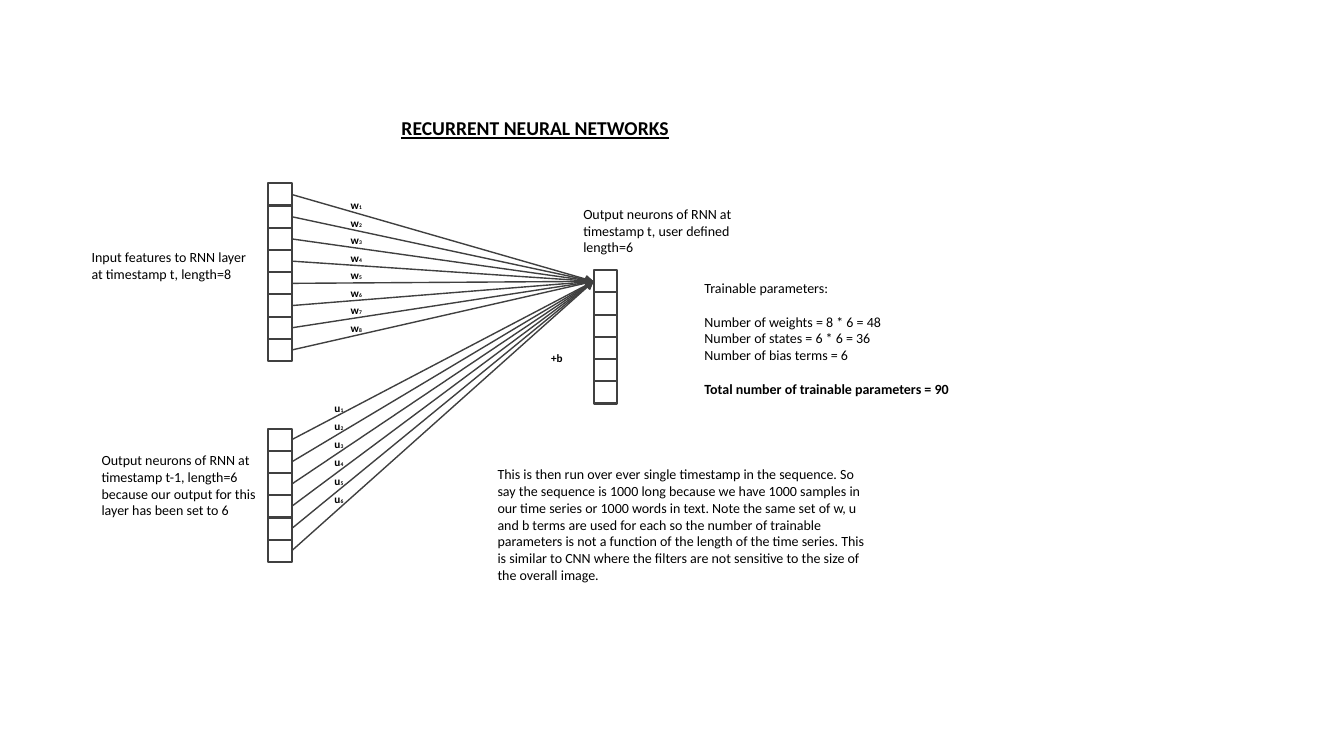
from dataclasses import dataclass

from pptx import Presentation
from pptx import util as u
from pptx.dml import color
from pptx.enum import shapes, text
from pptx.oxml import ns, xmlchemy


@dataclass(frozen=True)
class Theme:
    font: str = "Calibri"
    ink: color.RGBColor = color.RGBColor(0x00, 0x00, 0x00)
    outline: color.RGBColor = color.RGBColor(0x40, 0x40, 0x40)
    title_size: int = 14
    body_size: int = 10
    label_size: int = 8
    index_size: int = 4
    cell_line: float = 1.5
    arrow_line: float = 1


THEME = Theme()
CELL_WIDTH = 0.59
CELL_HEIGHT = 0.56
FEATURE_COUNT = 8
OUTPUT_COUNT = 6

CAPTIONS = [
    ("Input features to RNN layer at timestamp t, length=8",
     (2.06, 6.15, 4.72, 1.12)),
    ("Output neurons of RNN at timestamp t, user defined length=6",
     (14.45, 5.05, 4.72, 1.55)),
    ("Output neurons of RNN at timestamp t-1, length=6 because our output "
     "for this layer has been set to 6",
     (2.31, 11.25, 4.72, 1.96)),
    ("This is then run over ever single timestamp in the sequence. So say the "
     "sequence is 1000 long because we have 1000 samples in our time series or "
     "1000 words in text. Note the same set of w, u and b terms are used for "
     "each so the number of trainable parameters is not a function of the "
     "length of the time series. This is similar to CNN where the filters are "
     "not sensitive to the size of the overall image.",
     (12.29, 11.61, 9.8, 3.25)),
]

PARAMETERS = [
    ("Trainable parameters:", 0, False),
    ("Number of weights = 8 * 6 = 48", 12.2, False),
    ("Number of states = 6 * 6 = 36", 0, False),
    ("Number of bias terms = 6", 0, False),
    ("Total number of trainable parameters = 90", 12.2, True),
]


def write(paragraph, words, size=THEME.body_size, bold=False, underline=False):
    run = paragraph.add_run()
    run.text = words
    font = run.font
    font.name = THEME.font
    font.size = u.Pt(size)
    font.bold = bold
    font.underline = underline
    font.color.rgb = THEME.ink


def place(shape, left, top, width, height):
    shape.left, shape.top = u.Cm(left), u.Cm(top)
    shape.width, shape.height = u.Cm(width), u.Cm(height)


def add_text_box(slide, box, wrap=True):
    shape = slide.shapes.add_textbox(*map(u.Cm, box))
    shape.text_frame.word_wrap = wrap
    shape.text_frame.auto_size = text.MSO_AUTO_SIZE.SHAPE_TO_FIT_TEXT
    return shape.text_frame.paragraphs[0]


def add_layer(slide, left, top, count):
    group = slide.shapes.add_group_shape()
    cells = []
    for row in range(count):
        cell = group.shapes.add_shape(
            shapes.MSO_SHAPE.RECTANGLE, u.Cm(left),
            u.Cm(top + row * CELL_HEIGHT), u.Cm(CELL_WIDTH), u.Cm(CELL_HEIGHT))
        cell.shadow.inherit = False
        cell.fill.background()
        cell.line.color.rgb = THEME.outline
        cell.line.width = u.Pt(THEME.cell_line)
        cells.append(cell)
    return cells


def add_arrow(slide, source, target):
    arrow = slide.shapes.add_connector(shapes.MSO_CONNECTOR.STRAIGHT, 0, 0, 0, 0)
    arrow.begin_connect(source, 3)
    arrow.end_connect(target, 1)
    arrow.line.color.rgb = THEME.outline
    arrow.line.width = u.Pt(THEME.arrow_line)
    head = xmlchemy.OxmlElement("a:tailEnd")
    head.set("type", "triangle")
    properties = arrow._element.spPr
    properties.find(ns.qn("a:ln")).append(head)
    properties.append(xmlchemy.OxmlElement("a:effectLst"))


def add_weight_labels(slide, letter, count, left, top, pitch):
    for row in range(count):
        paragraph = add_text_box(
            slide, (left, top + row * pitch, 0.79, 0.61), wrap=False)
        write(paragraph, letter, size=THEME.label_size, bold=True)
        write(paragraph, str(row + 1), size=THEME.index_size, bold=True)


def fill_title(title):
    place(title, 8.59, 2.79, 9.8, 0.86)
    title.text_frame.auto_size = text.MSO_AUTO_SIZE.SHAPE_TO_FIT_TEXT
    paragraph = title.text_frame.paragraphs[0]
    paragraph.alignment = text.PP_ALIGN.CENTER
    write(paragraph, "RECURRENT NEURAL NETWORKS", size=THEME.title_size,
          bold=True, underline=True)


def fill_parameters(body):
    place(body, 17.5, 6.91, 7.04, 3.25)
    frame = body.text_frame
    frame.auto_size = text.MSO_AUTO_SIZE.SHAPE_TO_FIT_TEXT
    for number, (words, gap, bold) in enumerate(PARAMETERS):
        paragraph = frame.add_paragraph() if number else frame.paragraphs[0]
        paragraph.space_before = u.Pt(gap)
        properties = paragraph._p.get_or_add_pPr()
        properties.set("marL", "0")
        properties.set("indent", "0")
        properties.append(xmlchemy.OxmlElement("a:buNone"))
        write(paragraph, words, bold=bold)


def main():
    presentation = Presentation()
    presentation.slide_width = u.Cm(33.87)
    presentation.slide_height = u.Cm(19.05)
    slide = presentation.slides.add_slide(presentation.slide_layouts[1])

    fill_title(slide.shapes.title)
    fill_parameters(slide.placeholders[1])

    features = add_layer(slide, 6.76, 4.62, FEATURE_COUNT)
    outputs = add_layer(slide, 14.96, 6.81, OUTPUT_COUNT)
    previous_outputs = add_layer(slide, 6.76, 10.8, OUTPUT_COUNT)
    for cell in features + previous_outputs:
        add_arrow(slide, cell, outputs[0])

    add_weight_labels(slide, "w", FEATURE_COUNT, 8.59, 4.88, 0.44)
    add_weight_labels(slide, "u", OUTPUT_COUNT, 8.18, 9.98, 0.46)
    bias = add_text_box(slide, (13.64, 8.74, 0.81, 0.61), wrap=False)
    write(bias, "+b", size=THEME.label_size, bold=True)
    for words, box in CAPTIONS:
        write(add_text_box(slide, box), words)

    presentation.save("out.pptx")


if __name__ == "__main__":
    main()
